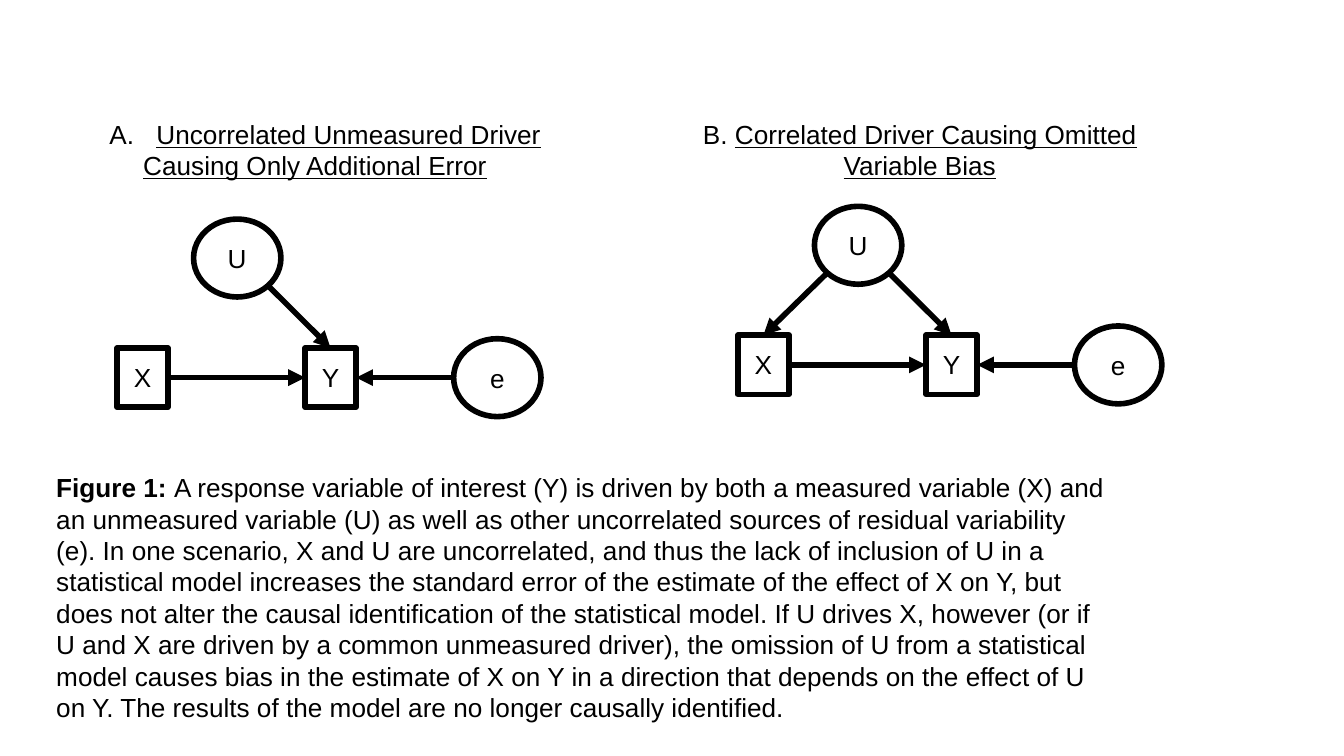
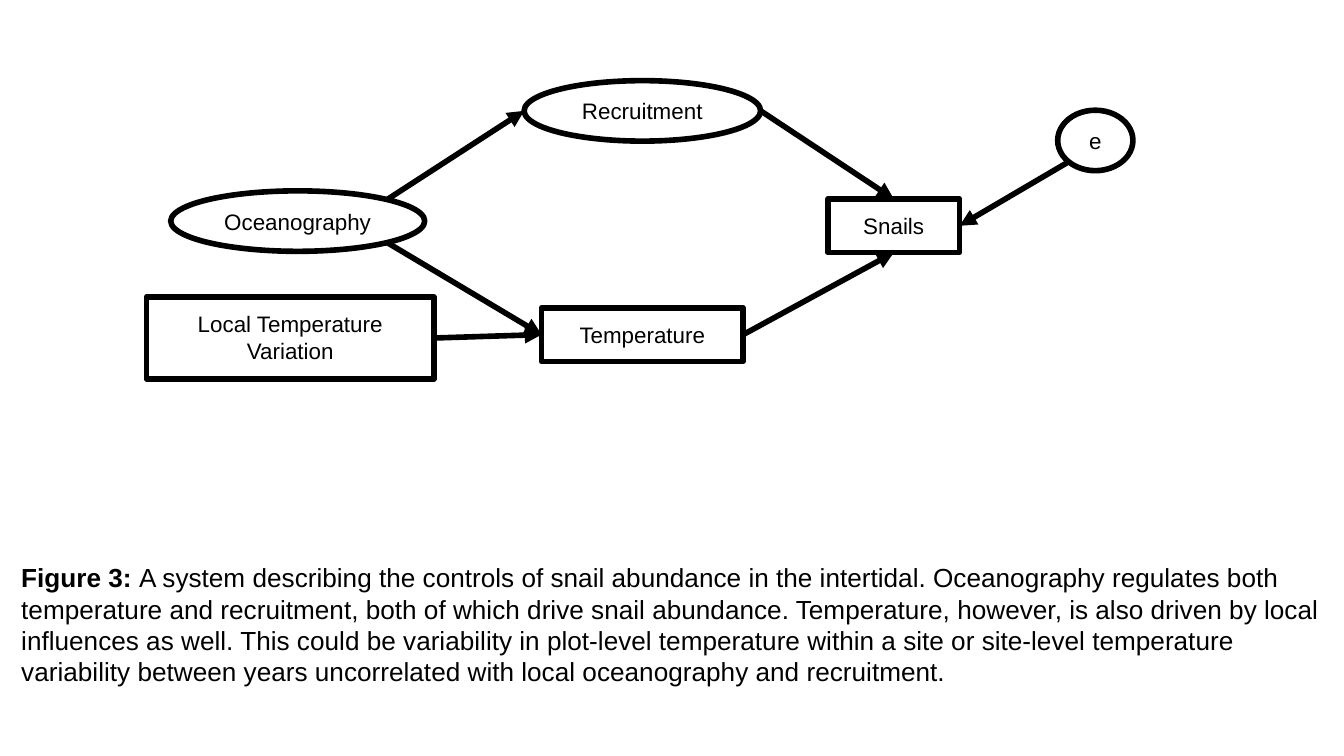
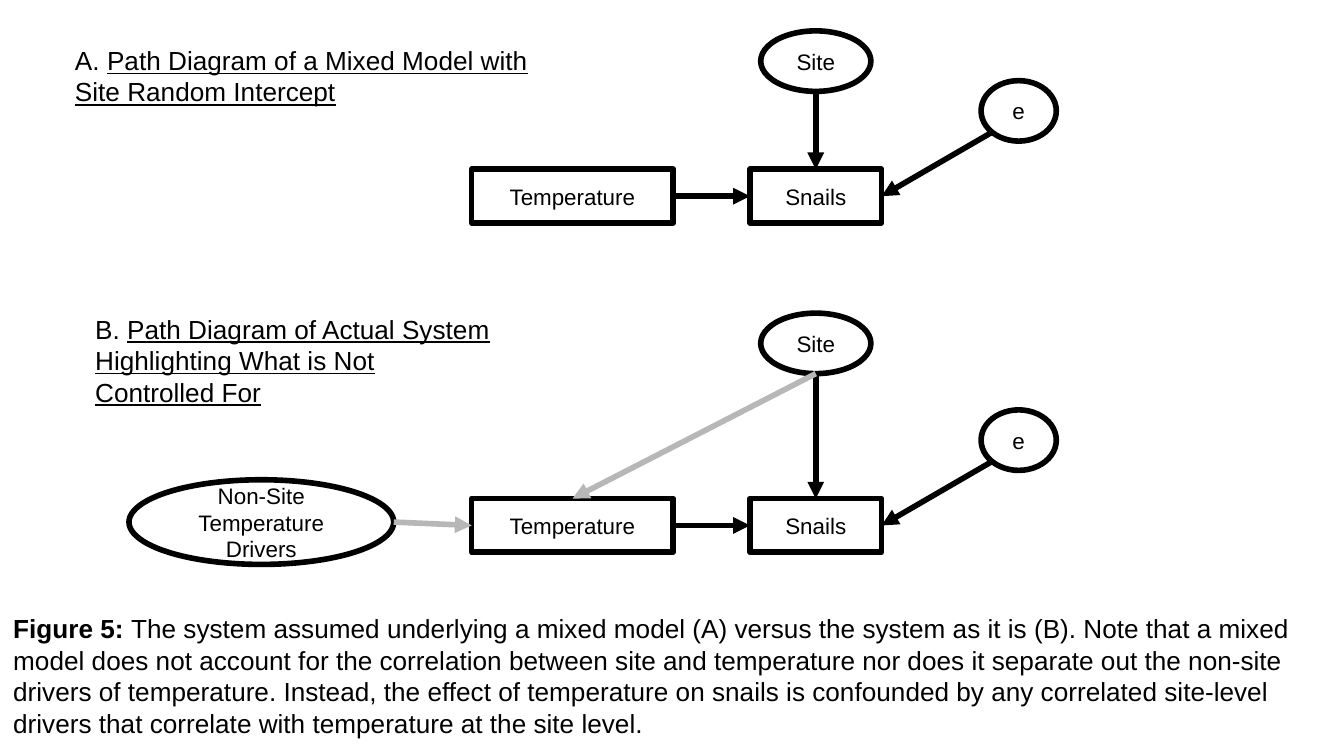
from lxml.etree import SubElement as Sub
from pptx import Presentation
from pptx.dml.color import RGBColor
from pptx.enum.shapes import MSO_CONNECTOR as Conn, MSO_SHAPE as Kind
from pptx.enum.text import MSO_ANCHOR as Anchor, MSO_AUTO_SIZE as Fit, PP_ALIGN as Align
from pptx.oxml.ns import qn
from pptx.util import Inches, Pt

BLACK = RGBColor(0x00, 0x00, 0x00)
WHITE = RGBColor(0xFF, 0xFF, 0xFF)
GREY = RGBColor(0xB7, 0xB7, 0xB7)
FONT = "Arial"
BOX, OVAL = Kind.RECTANGLE, Kind.OVAL

# Grid: square cells, 100 to the width of a 16:9 slide
CELL = Inches(0.1)
WIDE = 100 * CELL
PAD = CELL
LINE = Pt(3)

# Where arrows meet a shape, as shares of its width and height;
# the first four follow the order of a rectangle's connection sites
PORTS = {"top": (0.5, 0), "left": (0, 0.5), "low": (0.5, 1), "right": (1, 0.5),
         "nw": (0.15, 0.15), "ne": (0.85, 0.15), "sw": (0.15, 0.85), "se": (0.85, 0.85)}
SIDES = list(PORTS)[:4]

deck = Presentation()
deck.slide_width, deck.slide_height = WIDE, WIDE * 9 // 16
blank = deck.slide_layouts[6]


def put(page, text, area, kind=None, size=14, align=Align.LEFT, indent=0):
    """Place text: a string, or paragraphs made of (words, style) runs."""
    area = [round(n * CELL) for n in area]
    if kind is None:
        shape = page.shapes.add_textbox(*area)
    else:
        shape = page.shapes.add_shape(kind, *area)
        shape.shadow.inherit = False
        shape.line.color.rgb, shape.line.width = BLACK, LINE
        if kind == OVAL:
            shape.fill.solid()
            shape.fill.fore_color.rgb = WHITE
        else:
            shape.fill.background()
        align = Align.CENTER
    frame = shape.text_frame
    frame.word_wrap = True
    frame.auto_size = Fit.NONE if kind == OVAL else Fit.SHAPE_TO_FIT_TEXT
    frame.vertical_anchor = Anchor.MIDDLE if kind == OVAL else Anchor.TOP
    frame.margin_left = frame.margin_right = PAD
    frame.margin_top = frame.margin_bottom = PAD
    paras = [[(text, "")]] if isinstance(text, str) else text
    for i, runs in enumerate(paras):
        para = frame.add_paragraph() if i else frame.paragraphs[0]
        para.alignment = align
        if indent:
            para._p.get_or_add_pPr().set("marL", str(round(indent * CELL)))
        for words, style in runs:
            run = para.add_run()
            run.text = words
            font = run.font
            font.name, font.size, font.color.rgb = FONT, Pt(size), BLACK
            font.bold, font.underline = style == "b", style == "u"
    return shape


def link(page, tail, out, head, into, color=BLACK):
    """Draw an arrow between ports, joined to the sides of rectangles."""
    ends = []
    for shape, port in ((tail, out), (head, into)):
        x, y = PORTS[port]
        ends += [round(shape.left + x * shape.width), round(shape.top + y * shape.height)]
    arrow = page.shapes.add_connector(Conn.STRAIGHT, *ends)
    for join, shape, port in ((arrow.begin_connect, tail, out),
                              (arrow.end_connect, head, into)):
        if shape.auto_shape_type == BOX:
            join(shape, SIDES.index(port))
    arrow.line.color.rgb, arrow.line.width = color, LINE
    props = arrow.element.spPr
    Sub(props.find(qn("a:ln")), qn("a:tailEnd"), type="triangle")
    Sub(props, qn("a:effectLst"))


# Slide 1: two small diagrams, the second with a driver of X
page = deck.slides.add_slide(blank)
for left, top, biased in ((8.7, 25.9, False), (54.9, 24.95, True)):
    x = put(page, "X", (left, top, 3.8, 4.4), BOX)
    y = put(page, "Y", (left + 14, top, 3.8, 4.4), BOX)
    e = put(page, "e", (left + 25.05, top - 0.7, 6.5, 5.8), OVAL)
    u = put(page, "U", (left + 5.7, top - 9.6, 6.5, 5.8), OVAL)
    link(page, x, "right", y, "left")
    link(page, e, "left", y, "right")
    link(page, u, "se", y, "top")
    if biased:
        link(page, u, "sw", x, "top")

# Diagram titles, the first with an automatic letter
head = put(page, [[("Uncorrelated Unmeasured Driver", "u")],
                  [("Causing Only Additional Error", "u")]],
           (5.1, 7.8, 36.7, 6.7), align=Align.CENTER)
props = head.text_frame.paragraphs[0]._p.get_or_add_pPr()
props.set("marL", str(5 * CELL))
props.set("indent", str(round(-3.5 * CELL)))
Sub(Sub(props, qn("a:buClr")), qn("a:srgbClr"), val=str(BLACK))
Sub(props, qn("a:buFont"), typeface=FONT)
Sub(props, qn("a:buAutoNum"), type="alphaUcPeriod")
put(page, [[("B. ", ""), ("Correlated Driver Causing Omitted Variable Bias", "u")]],
    (51.3, 7.8, 34.3, 6.7), align=Align.CENTER)

put(page, [[("Figure 1: ", "b"), (
    "A response variable of interest (Y) is driven by both a measured variable (X) and "
    "an unmeasured variable (U) as well as other uncorrelated sources of residual "
    "variability (e). In one scenario, X and U are uncorrelated, and thus the lack of "
    "inclusion of U in a statistical model increases the standard error of the estimate "
    "of the effect of X on Y, but does not alter the causal identification of the "
    "statistical model. If U drives X, however (or if U and X are driven by a common "
    "unmeasured driver), the omission of U from a statistical model causes bias in the "
    "estimate of X on Y in a direction that depends on the effect of U on Y. The results "
    "of the model are no longer causally identified.", "")]], (3.2, 34.1, 80.2, 20.9))

# Slide 2: controls of snail abundance
page = deck.slides.add_slide(blank)
put(page, [[("Figure 3: ", "b"), (
    "A system describing the controls of snail abundance in the intertidal. Oceanography "
    "regulates both temperature and recruitment, both of which drive snail abundance. "
    "Temperature, however, is also driven by local influences as well. This could be "
    "variability in plot-level temperature within a site or site-level temperature "
    "variability between years uncorrelated with local oceanography and recruitment.",
    "")]], (0.6, 40.8, 100, 11.4))
temp = put(page, "Temperature", (40.3, 22.9, 15, 4), BOX, size=12)
snail = put(page, "Snails", (61.6, 14.8, 9.8, 4), BOX, size=12)
e = put(page, "e", (78.7, 8.2, 5.6, 4.5), OVAL, size=12)
ocean = put(page, "Oceanography", (12.7, 14.2, 18.9, 4.5), OVAL, size=12)
recruit = put(page, "Recruitment", (39, 6, 17.6, 4.5), OVAL, size=12)
local = put(page, [[("Local Temperature", "")], [("Variation", "")]],
            (10.9, 22.1, 21.4, 6.1), BOX, size=12)
for tail, out, head, into in ((temp, "right", snail, "low"), (e, "sw", snail, "right"),
                              (recruit, "right", snail, "top"),
                              (ocean, "se", temp, "left"),
                              (ocean, "ne", recruit, "left"),
                              (local, "right", temp, "left")):
    link(page, tail, out, head, into)

# Slide 3: the mixed model above, the real system below
page = deck.slides.add_slide(blank)
for top, high in ((12.6, 2.3), (37.1, 23.3)):
    temp = put(page, "Temperature", (35.1, top, 15, 4), BOX, size=12)
    snail = put(page, "Snails", (55.8, top, 9.8, 4), BOX, size=12)
    e = put(page, "e", (73, top - 6.6, 5.6, 4.5), OVAL, size=12)
    site = put(page, "Site", (56.6, high, 8.2, 4.5), OVAL, size=12)
    link(page, temp, "right", snail, "left")
    link(page, e, "sw", snail, "right")
    link(page, site, "low", snail, "top")

# Grey paths belong to the lower diagram only
other = put(page, "Non-Site Temperature Drivers", (9.6, 35.7, 19.7, 6.3), OVAL, size=12)
link(page, site, "low", temp, "top", GREY)
link(page, other, "right", temp, "left", GREY)

put(page, [[("A. ", ""), ("Path Diagram of a Mixed Model with Site Random Intercept", "u")]],
    (4.6, 2.3, 36.7, 6.7))
put(page, [[("B. ", ""), ("Path Diagram of Actual System Highlighting What is Not "
                          "Controlled For", "u")]], (1.1, 22.3, 36.7, 9.1), indent=5)
put(page, [[("Figure 5: ", "b"), (
    "The system assumed underlying a mixed model (A) versus the system as it is (B). Note "
    "that a mixed model does not account for the correlation between site and temperature "
    "nor does it separate out the non-site drivers of temperature. Instead, the effect of "
    "temperature on snails is confounded by any correlated site-level drivers that "
    "correlate with temperature at the site level.", "")]], (0, 44.6, 100, 11.4))

deck.save("out.pptx")
